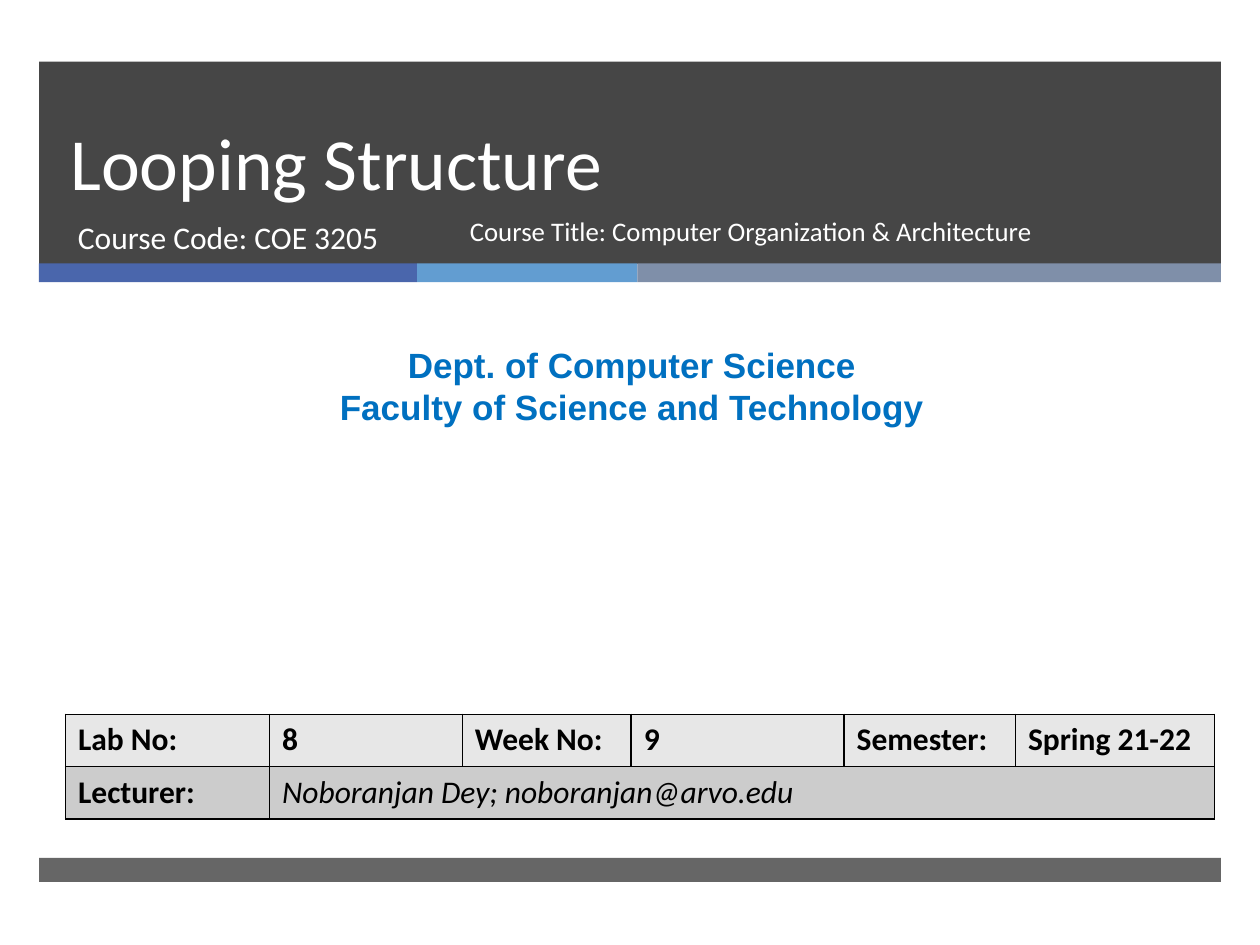
from dataclasses import dataclass
from typing import Optional

from lxml import etree
from pptx import Presentation, util as u
from pptx.dml.color import RGBColor
from pptx.enum import shapes, text
from pptx.oxml import ns

WIDTH, HEIGHT = u.Inches(10), u.Inches(7.5)


@dataclass(frozen=True)
class Theme:
    dark: str = "262626"
    accents: tuple = ("4A66AC", "629DD1", "7F8FA9")
    white: str = "FFFFFF"
    black: str = "000000"
    blue: str = "0070C0"
    rows: tuple = ("E7E7E7", "CCCCCC")
    body_font: str = "Calibri"
    dept_font: str = "Arial"
    title_size: float = 42
    dept_size: float = 20
    body_size: float = 18
    course_size: float = 15.3


THEME = Theme()


@dataclass(frozen=True)
class Area:
    """Left, top, width and height in percent of the slide."""
    left: float
    top: float
    width: float
    height: float

    def emu(self) -> tuple:
        return tuple(round(share * side / 100) for share, side in
                     zip((self.left, self.top, self.width, self.height),
                         (WIDTH, HEIGHT) * 2))


@dataclass(frozen=True)
class Band:
    area: Area
    color: str
    opacity: int = 100


@dataclass(frozen=True)
class Label:
    area: Area
    lines: tuple
    size: float
    color: str = THEME.white
    font: str = THEME.body_font
    bold: bool = False
    align: text.PP_ALIGN = text.PP_ALIGN.LEFT
    anchor: text.MSO_ANCHOR = text.MSO_ANCHOR.TOP
    spacing: Optional[object] = None


def style(target, **values) -> None:
    for name, value in values.items():
        setattr(target, name, value)


def style_font(font, color: str, **values) -> None:
    style(font, **values)
    font.color.rgb = RGBColor.from_string(color)


def draw_band(slide, band: Band) -> None:
    bar = slide.shapes.add_shape(shapes.MSO_SHAPE.RECTANGLE, *band.area.emu())
    bar.shadow.inherit = False
    bar.line.fill.background()
    bar.fill.solid()
    bar.fill.fore_color.rgb = RGBColor.from_string(band.color)
    if band.opacity < 100:
        color = bar.fill._xPr.find(".//" + ns.qn("a:srgbClr"))
        etree.SubElement(color, ns.qn("a:alpha"), val=str(band.opacity * 1000))


def draw_label(slide, label: Label) -> None:
    frame = slide.shapes.add_textbox(*label.area.emu()).text_frame
    style(frame, word_wrap=True, vertical_anchor=label.anchor,
          text="\n".join(label.lines))
    for paragraph in frame.paragraphs:
        style(paragraph, alignment=label.align, line_spacing=label.spacing)
        style_font(paragraph.runs[0].font, label.color, name=label.font,
                   size=u.Pt(label.size), bold=label.bold)


def border_cell(cell) -> None:
    props = cell._tc.get_or_add_tcPr()
    for position, side in enumerate(("lnL", "lnR", "lnT", "lnB")):
        line = etree.Element(ns.qn(f"a:{side}"), w=str(u.Pt(1)))
        fill = etree.SubElement(line, ns.qn("a:solidFill"))
        etree.SubElement(fill, ns.qn("a:srgbClr"), val=THEME.black)
        props.insert(position, line)


def draw_table(slide, area: Area, columns: tuple, rows: tuple) -> None:
    table = slide.shapes.add_table(len(rows), len(columns), *area.emu()).table
    for column, share in zip(table.columns, columns):
        column.width = round(WIDTH * share / 100)
    for r, (values, color) in enumerate(zip(rows, THEME.rows)):
        for c in range(len(columns)):
            cell = table.cell(r, c)
            cell.fill.solid()
            cell.fill.fore_color.rgb = RGBColor.from_string(color)
            border_cell(cell)
            if c < len(values):
                cell.text = values[c]
                email = "@" in values[c]
                style_font(cell.text_frame.paragraphs[0].runs[0].font,
                           THEME.black, name=THEME.body_font,
                           size=u.Pt(THEME.body_size),
                           bold=not email, italic=email)
        if len(values) < len(columns):
            table.cell(r, len(values) - 1).merge(table.cell(r, len(columns) - 1))


def main() -> None:
    deck = Presentation()
    style(deck, slide_width=WIDTH, slide_height=HEIGHT)
    slide = deck.slides.add_slide(deck.slide_layouts[6])

    # Header, accent strip and footer
    margin, full = 3.1, 93.8
    draw_band(slide, Band(Area(margin, 6.53, full, 21.4), THEME.dark, 85))
    left = margin
    for width, color in zip((30, 17.5, 46.3), THEME.accents):
        draw_band(slide, Band(Area(left, 27.87, width, 2), color))
        left += width
    draw_band(slide, Band(Area(margin, 90.8, full, 2.53), THEME.dark, 70))

    # Title, course and department
    for label in (
        Label(Area(4.6, 6.53, 85.4, 15.87), ("Looping Structure",),
              THEME.title_size, anchor=text.MSO_ANCHOR.BOTTOM,
              spacing=u.Pt(46)),
        Label(Area(5.2, 22.4, 30.5, 7.07), ("Course Code: COE 3205",),
              THEME.body_size),
        Label(Area(0.8, 35.73, 98.7, 10.27),
              ("Dept. of Computer Science",
               "Faculty of Science and Technology"),
              THEME.dept_size, THEME.blue, THEME.dept_font, True,
              text.PP_ALIGN.CENTER),
        Label(Area(36.3, 22.4, 46.9, 7.07),
              ("Course Title: Computer Organization & Architecture",),
              THEME.course_size, spacing=0.9),
    ):
        draw_label(slide, label)

    # Lab details
    draw_table(slide, Area(5.2, 75.6, 91.2, 11.07),
               (16.2, 15.3, 13.4, 16.9, 13.6, 15.8),
               (("Lab No:", "8", "Week No:", "9", "Semester:", "Spring 21-22"),
                ("Lecturer:", "Noboranjan Dey; noboranjan@arvo.edu")))

    deck.save("out.pptx")


if __name__ == "__main__":
    main()
